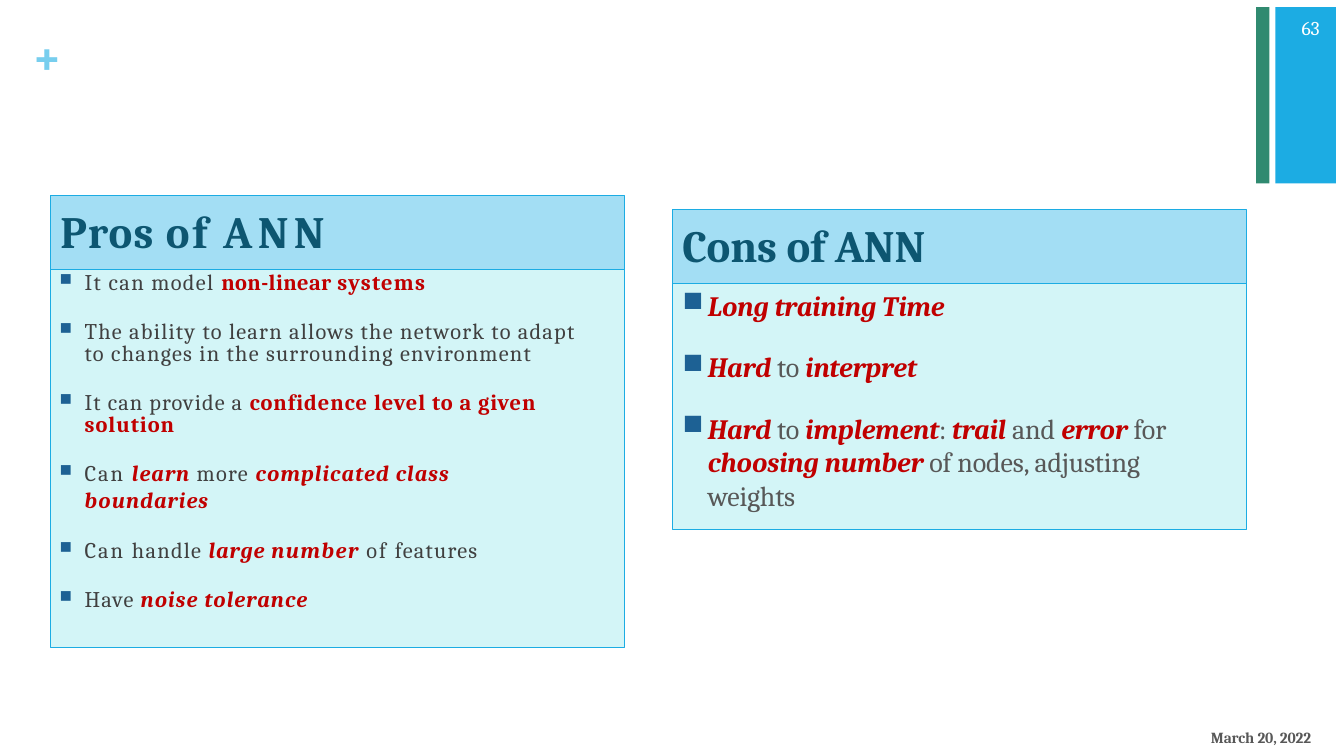
"""Build a slide that sets the pros of ANN beside its cons."""
from dataclasses import dataclass

from lxml import etree
from pptx import Presentation, util as u
from pptx.dml.color import RGBColor
from pptx.enum import shapes, text
from pptx.oxml.ns import qn

PROS_TITLE = [("Pros ", "title", 0.8), ("of ", "title", 2.1), ("ANN", "title", 3.8)]
CONS_TITLE = [("Cons of ANN", "title", -0.1)]
PROS = [
    (0, 18.2, [("It can model ", "plain", 1), ("non-linear ", "bold", 0.3), ("systems", "bold", 0.9)]),
    (20, 15.4, [("The ability to learn allows the network to adapt\n"
                 "to changes in the surrounding environment", "plain", 0.9)]),
    (20, 15.4, [("It can provide a ", "plain", 0.8),
                ("confidence level to a given solution", "bold", 0.7)]),
    (16.2, None, [("Can ", "plain", 1.4), ("learn ", "both", 0.8), ("more ", "plain", 1),
                  ("complicated class\nboundaries", "both", 0.8)]),
    (16.2, None, [("Can ", "plain", 1.4), ("handle ", "plain", 0.9), ("large ", "both", 0.7),
                  ("number ", "both", 1.1), ("of ", "plain", 1.4), ("features", "plain", 0.9)]),
    (16.2, None, [("Have ", "plain", 0.8), ("noise tolerance", "both", 0.8)]),
]
CONS = [
    (2.66, 1, [("Long training Time", "both")]),
    (2.39, 1, [("Hard ", "both"), ("to ", "soft"), ("interpret", "both")]),
    (4.92, 3, [("Hard ", "both"), ("to ", "soft"), ("implement", "both"), (": ", "soft"),
               ("trail ", "both"), ("and ", "soft"), ("error ", "both"), ("for ", "soft"),
               ("choosing number ", "both"), ("of nodes, adjusting weights", "soft")]),
]
LABELS = [
    ((0.31, 0.22, 0.36, 0.63), "+", "plus", 36, 2.7),
    ((12.9, 0.14, 0.24, 0.26), "63", "page", 14, -0.1),
    ((12, 7.2, 1.11, 0.21), "March 20, 2022", "date", 11, -0.1),
]


@dataclass(frozen=True)
class Theme:
    font: str = "Cambria"
    blue: str = "1CACE3"
    green: str = "308A70"
    head: str = "A3DEF4"
    body: str = "D3F5F7"
    bullet: str = "1D6194"
    title_size: int = 32
    pros_size: int = 16
    cons_size: int = 20


THEME = Theme()
STYLES = {
    "title": ("0D5671", True, False),
    "plain": ("404040", False, False),
    "soft": ("585858", False, False),
    "bold": ("C00000", True, False),
    "both": ("C00000", True, True),
    "plus": ("77CEEE", True, False),
    "page": ("FFFFFF", False, False),
    "date": ("585858", True, False),
}
WIDTH, HEAD = 5.69, 0.73
PROS_LEFT, PROS_TOP, PROS_BODY = 0.5, 1.94, 3.75
CONS_LEFT, CONS_TOP, CONS_BODY = 6.67, 2.08, 2.44
CONS_STEP, CONS_LINE = 0.61, 0.34

deck = Presentation()
deck.slide_width, deck.slide_height = u.Inches(13.33), u.Inches(7.5)
page = deck.slides.add_slide(deck.slide_layouts[6])


def add_block(place, fill, outlined=False):
    block = page.shapes.add_shape(shapes.MSO_SHAPE.RECTANGLE, *map(u.Inches, place))
    block.shadow.inherit = False
    block.fill.solid()
    block.fill.fore_color.rgb = RGBColor.from_string(fill)
    if outlined:
        block.line.color.rgb = RGBColor.from_string(THEME.blue)
        block.line.width = u.Pt(0.75)
    else:
        block.line.fill.background()
    return block


def add_label(place):
    return page.shapes.add_textbox(*map(u.Inches, place))


def add_bullet(para, indent, share):
    props = para._p.get_or_add_pPr()
    props.set("marL", str(u.Inches(indent)))
    props.set("indent", str(u.Inches(-0.25)))
    color = etree.SubElement(props, qn("a:buClr"))
    etree.SubElement(color, qn("a:srgbClr"), val=THEME.bullet)
    etree.SubElement(props, qn("a:buSzPct"), val=str(share * 1000))
    etree.SubElement(props, qn("a:buChar"), char="■")


def write(box, paras, size, left=0, top=0, indent=0, share=0):
    frame = box.text_frame
    frame.word_wrap = True
    frame.vertical_anchor = text.MSO_ANCHOR.TOP
    frame.margin_left, frame.margin_top = u.Inches(left), u.Inches(top)
    frame.margin_right = frame.margin_bottom = 0
    for index, (before, spacing, spans) in enumerate(paras):
        para = frame.add_paragraph() if index else frame.paragraphs[0]
        para.alignment = text.PP_ALIGN.LEFT
        if share:
            add_bullet(para, indent, share)
        para.space_before = u.Pt(before)
        if spacing:
            para.line_spacing = u.Pt(spacing)
        for words, style, tracking in spans:
            for row, line in enumerate(words.split("\n")):
                if row:
                    para.add_line_break()
                span = para.add_run()
                span.text = line
                color, span.font.bold, span.font.italic = STYLES[style]
                span.font.name, span.font.size = THEME.font, u.Pt(size)
                span.font.color.rgb = RGBColor.from_string(color)
                span._r.get_or_add_rPr().set("spc", str(round(tracking * 100)))


def add_panel(left, top, body_height, title):
    body = add_block((left, top + HEAD, WIDTH, body_height), THEME.body, outlined=True)
    head = add_block((left, top, WIDTH, HEAD), THEME.head, outlined=True)
    write(head, [(0, None, title)], THEME.title_size, left=0.1, top=0.08)
    return body


add_block((12.65, 0.07, 0.6, 1.75), THEME.blue)
add_block((12.46, 0.07, 0.13, 1.75), THEME.green)

pros_body = add_panel(PROS_LEFT, PROS_TOP, PROS_BODY, PROS_TITLE)
write(pros_body, PROS, THEME.pros_size, indent=0.34, share=75)

add_panel(CONS_LEFT, CONS_TOP, CONS_BODY, CONS_TITLE)
for index, (width, lines, spans) in enumerate(CONS):
    top = CONS_TOP + HEAD + 0.03 + index * CONS_STEP
    box = add_label((CONS_LEFT + 0.1, top, width, 0.02 + lines * CONS_LINE))
    tracked = [(words, style, -0.1) for words, style in spans]
    write(box, [(0, None, tracked)], THEME.cons_size, top=0.02, indent=0.25, share=100)

for place, words, style, size, tracking in LABELS:
    write(add_label(place), [(0, None, [(words, style, tracking)])], size, left=0.01, top=0.02)

deck.save("out.pptx")
